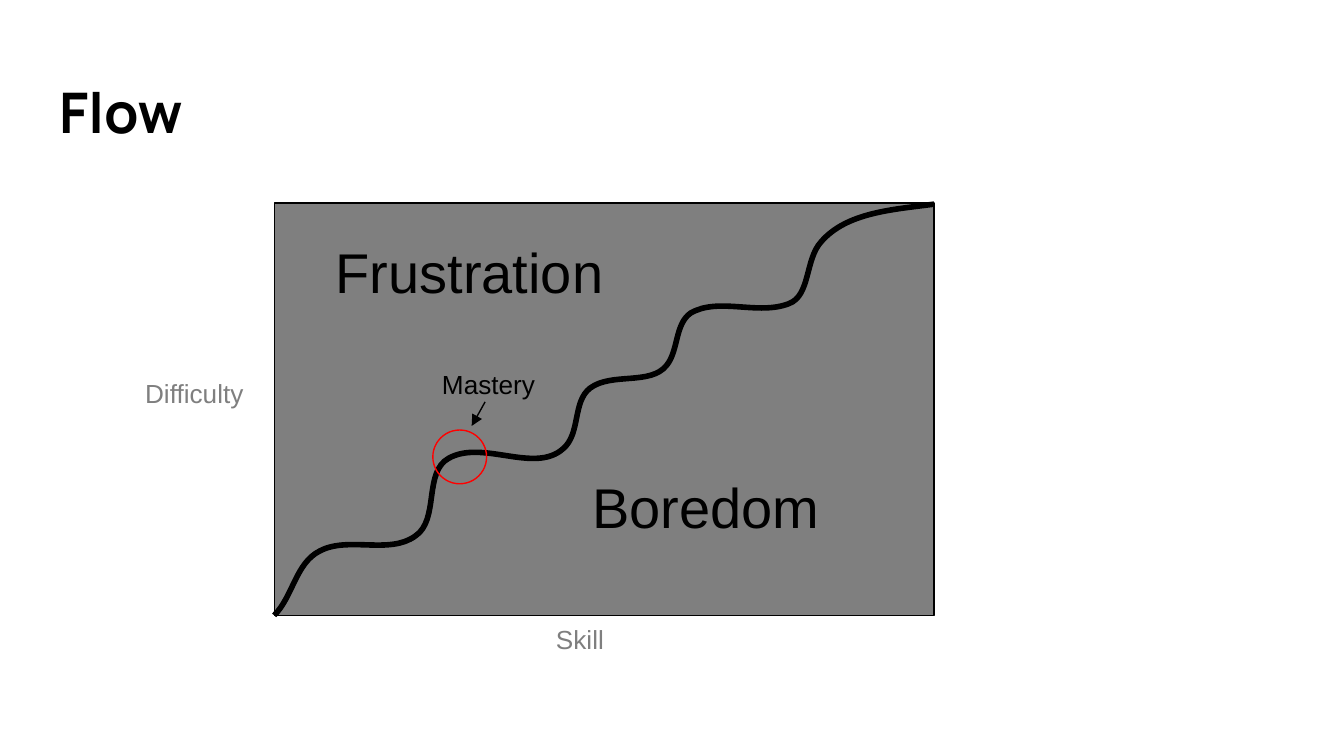
from pptx import Presentation
from pptx.dml import color
from pptx.enum import dml, shapes, text
from pptx.oxml import ns, xmlchemy
from pptx.util import Pt

GREY, BLACK, RED = "7F7F7F", "000000", "FF0000"
BENDS = [
    ((10.1, 210.2), (11.5, 192.2), (24.5, 185.8)),
    ((39.6, 177.8), (61.9, 187.9), (75.6, 177.8)),
    ((88.6, 169.2), (79.9, 143.3), (93.6, 136.1)),
    ((111.6, 126), (139.7, 144.7), (154.8, 131)),
    ((164.2, 123.1), (159.8, 105.8), (169.2, 98.6)),
    ((180.7, 90), (201.6, 97.2), (210.2, 86.4)),
    ((216.7, 78.5), (214.6, 64.1), (223.2, 58.3)),
    ((238.3, 49.7), (259.2, 59.8), (275.8, 53.3)),
    ((287.3, 49), (284.4, 29.5), (293, 20.2)),
    ((306.7, 4.3), (331.9, 2.9), (353.5, 0)),
]
LABELS = [
    ("Skill", 36, 218.2, 255.6, 28.8, 14, GREY, True),
    ("Difficulty", -170.6, 86.4, 255.6, 28.8, 14, GREY, True),
    ("Mastery", 82.8, 81.4, 75.6, 17.3, 14, BLACK, False),
    ("Frustration", 25.9, 11.5, 176.4, 67.7, 30, BLACK, False),
    ("Boredom", 163.4, 137.5, 176.4, 67.7, 30, BLACK, False),
]


def paint(form, tone):
    form.solid()
    form.fore_color.rgb = color.RGBColor.from_string(tone)


def stroke(shape, tone, width):
    paint(shape.line.fill, tone)
    shape.line.width = Pt(width)


def write(shape, words, face, size, tone, align, anchor, bold=False):
    frame = shape.text_frame
    frame.word_wrap = True
    frame.auto_size = text.MSO_AUTO_SIZE.NONE
    frame.vertical_anchor = anchor
    frame.margin_left = frame.margin_right = Pt(7.2)
    frame.margin_top = frame.margin_bottom = Pt(7.2)
    frame.text = words
    para = frame.paragraphs[0]
    para.alignment = align
    font = para.font
    font.name, font.size, font.bold = face, Pt(size), bold
    paint(font.fill, tone)


def title(slide, left, top, width, height):
    head = slide.shapes.title
    head.left, head.top = Pt(left), Pt(top)
    head.width, head.height = Pt(width), Pt(height)
    write(head, "Flow", "Manrope", 30, BLACK, text.PP_ALIGN.LEFT,
          text.MSO_ANCHOR.MIDDLE, True)


def curve(slide, left, top):
    pen = slide.shapes.build_freeform(Pt(left), Pt(top + 220.3))
    pen.add_line_segments(
        [(Pt(left + x), Pt(top + y)) for *_, (x, y) in BENDS], close=False)
    path = pen.convert_to_shape()
    path.shadow.inherit = False
    path.fill.background()
    stroke(path, BLACK, 3)
    for step, bend in zip(list(path.element.iter(ns.qn("a:lnTo"))), BENDS):
        bow = xmlchemy.OxmlElement("a:cubicBezTo")
        for x, y in bend:
            spot = xmlchemy.OxmlElement("a:pt")
            spot.set("x", str(Pt(x)))
            spot.set("y", str(Pt(y)))
            bow.append(spot)
        step.getparent().replace(step, bow)


def arrow(slide, x1, y1, x2, y2):
    line = slide.shapes.add_connector(
        shapes.MSO_CONNECTOR.STRAIGHT, Pt(x1), Pt(y1), Pt(x2), Pt(y2))
    stroke(line, BLACK, 0.75)
    tip = xmlchemy.OxmlElement("a:tailEnd")
    tip.set("type", "triangle")
    line.line._get_or_add_ln().append(tip)
    line.element.spPr.append(xmlchemy.OxmlElement("a:effectLst"))


def graph(slide, left, top, width, height):
    area = slide.shapes.add_shape(
        shapes.MSO_SHAPE.RECTANGLE, Pt(left), Pt(top), Pt(width), Pt(height))
    area.shadow.inherit = False
    paint(area.fill, GREY)
    stroke(area, BLACK, 0.75)
    curve(slide, left, top + 0.7)

    ring = slide.shapes.add_shape(
        shapes.MSO_SHAPE.OVAL, Pt(left + 85), Pt(top + 121.7), Pt(28.8), Pt(28.8))
    ring.shadow.inherit = False
    ring.fill.background()
    stroke(ring, RED, 0.75)
    arrow(slide, left + 113, top + 106.6, left + 105.8, top + 119.5)

    for words, x, y, wide, high, size, tone, mid in LABELS:
        label = slide.shapes.add_textbox(
            Pt(left + x), Pt(top + y), Pt(wide), Pt(high))
        align = text.PP_ALIGN.CENTER if mid else text.PP_ALIGN.LEFT
        write(label, words, "Arial", size, tone, align, text.MSO_ANCHOR.TOP)


def main():
    deck = Presentation()
    deck.slide_width, deck.slide_height = Pt(720), Pt(405)
    slide = deck.slides.add_slide(deck.slide_layouts[5])
    title(slide, 24.5, 35.3, 671, 49)
    graph(slide, 146.9, 108.7, 353.5, 221)
    deck.save("out.pptx")


if __name__ == "__main__":
    main()
